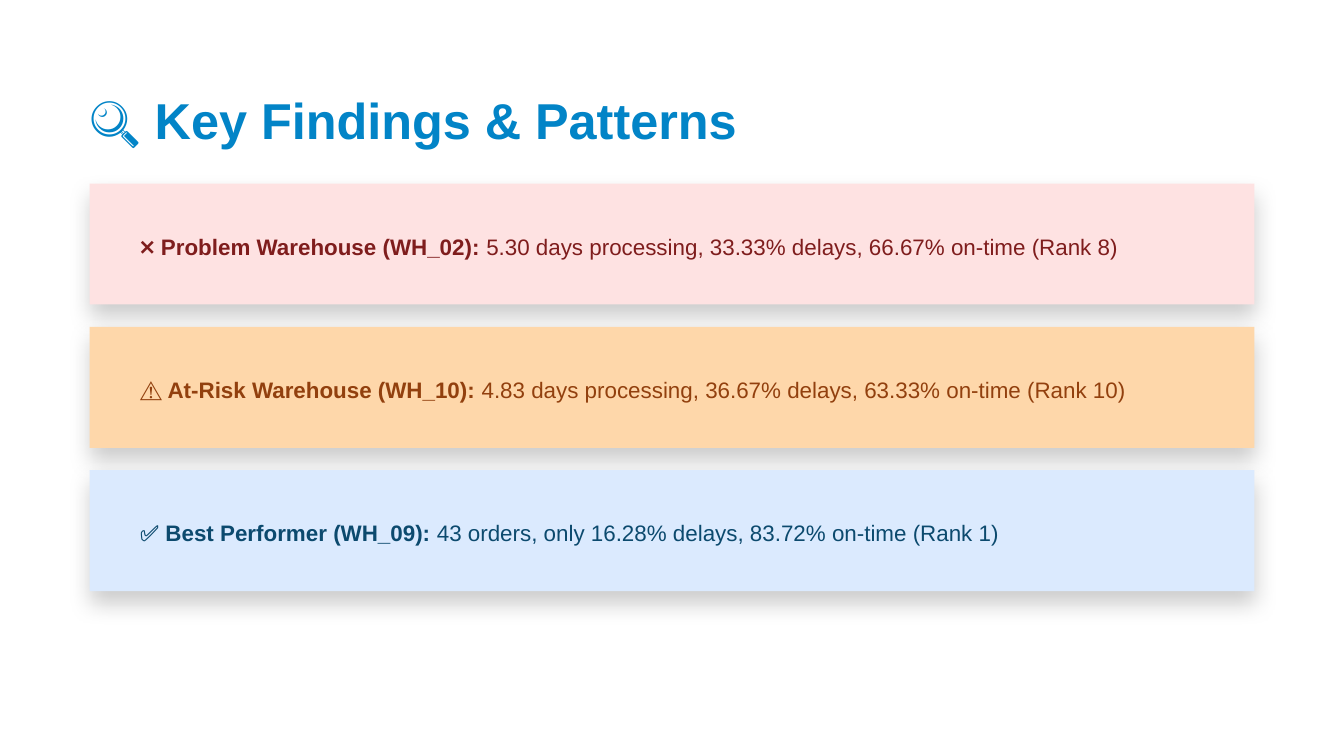
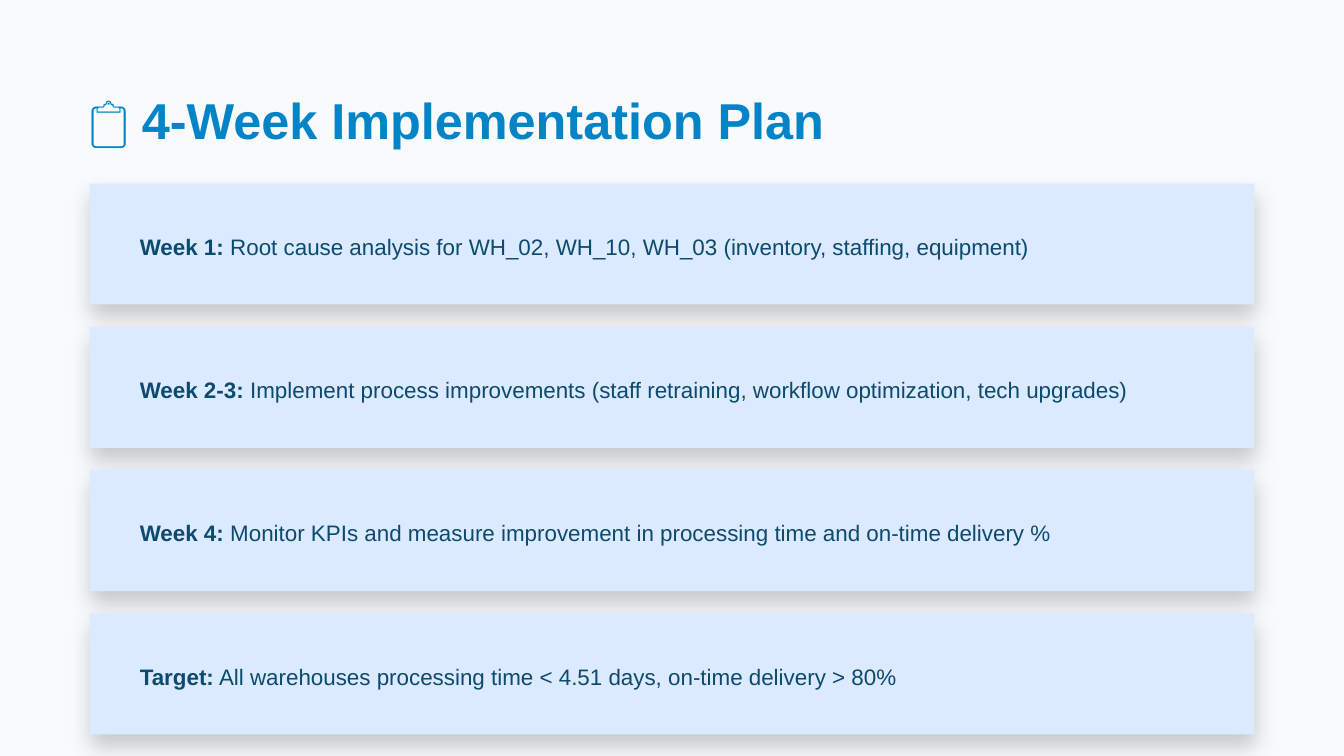
from lxml import etree
from pptx import Presentation
from pptx.dml.color import RGBColor
from pptx.enum.shapes import MSO_SHAPE
from pptx.enum.text import MSO_ANCHOR, MSO_AUTO_SIZE, PP_ALIGN
from pptx.oxml.ns import qn
from pptx.util import Pt

RECTANGLE = MSO_SHAPE.RECTANGLE
TOP = MSO_ANCHOR.TOP
LEFT = PP_ALIGN.LEFT
NO_AUTOFIT = MSO_AUTO_SIZE.NONE

FONT = "Arial"
TITLE_COLOR = "0284C7"
# style: (card fill, text colour)
STYLES = {
    "problem": ("FEE2E2", "7F1D1D"),
    "risk": ("FED7AA", "92400E"),
    "info": ("DBEAFE", "0C4A6E"),
}

SLIDES = [
    {
        "title": "🔍 Key Findings & Patterns",
        "background": "FFFFFF",
        "cards": [
            ("problem", "❌ Problem Warehouse (WH_02):",
             "5.30 days processing, 33.33% delays, 66.67% on-time (Rank 8)"),
            ("risk", "⚠️ At-Risk Warehouse (WH_10):",
             "4.83 days processing, 36.67% delays, 63.33% on-time (Rank 10)"),
            ("info", "✅ Best Performer (WH_09):",
             "43 orders, only 16.28% delays, 83.72% on-time (Rank 1)"),
        ],
    },
    {
        "title": "📋 4-Week Implementation Plan",
        "background": "F8FAFC",
        "cards": [
            ("info", "Week 1:",
             "Root cause analysis for WH_02, WH_10, WH_03 (inventory, staffing, equipment)"),
            ("info", "Week 2-3:",
             "Implement process improvements (staff retraining, workflow optimization, tech upgrades)"),
            ("info", "Week 4:",
             "Monitor KPIs and measure improvement in processing time and on-time delivery %"),
            ("info", "Target:",
             "All warehouses processing time < 4.51 days, on-time delivery > 80%"),
        ],
    },
]

# Lengths in px, 150 to the inch
PX = 6096
SLIDE_SIZE = (1500, 844)
TITLE_BOX = (100, 100, 1326, 68)
CARD_LEFT, CARD_TOP, CARD_WIDTH, CARD_HEIGHT = 100, 205, 1300, 135
CARD_GAP = 25
TEXT_INSET, TEXT_WIDTH, TEXT_HEIGHT = 56, 1218, 35


def px(*lengths):
    return [length * PX for length in lengths]


def rgb(color):
    return RGBColor.from_string(color)


def format_text(frame, size, line_spacing, color):
    """Set a one-paragraph frame without margins and return its paragraph."""
    frame.margin_left = frame.margin_top = frame.margin_right = frame.margin_bottom = 0
    frame.word_wrap = True
    frame.auto_size = NO_AUTOFIT
    frame.vertical_anchor = TOP
    paragraph = frame.paragraphs[0]
    paragraph.alignment = LEFT
    paragraph.line_spacing = Pt(line_spacing)
    font = paragraph.font
    font.name, font.size, font.color.rgb = FONT, Pt(size), rgb(color)
    return paragraph


def add_shadow(shape):
    """Give the shape a soft black shadow that falls straight down."""
    shape.shadow.inherit = False
    effects = shape._element.spPr.find(qn("a:effectLst"))
    shadow = etree.SubElement(
        effects, qn("a:outerShdw"), blurRad=str(Pt(12)), dist=str(Pt(6)),
        dir=str(90 * 60000), algn="ctr", rotWithShape="0")
    color = etree.SubElement(shadow, qn("a:srgbClr"), val="000000")
    etree.SubElement(color, qn("a:alpha"), val="20000")


def add_title(slide, text):
    title = slide.shapes.title
    title.left, title.top, title.width, title.height = px(*TITLE_BOX)
    title.text_frame.text = text
    format_text(title.text_frame, 27, 32.4, TITLE_COLOR).font.bold = True


def add_card(slide, top, style, label, detail):
    fill, color = STYLES[style]
    card = slide.shapes.add_shape(
        RECTANGLE, *px(CARD_LEFT, top, CARD_WIDTH, CARD_HEIGHT))
    card.fill.solid()
    card.fill.fore_color.rgb = rgb(fill)
    card.line.fill.background()
    add_shadow(card)

    text_top = top + (CARD_HEIGHT - TEXT_HEIGHT) // 2
    box = slide.shapes.add_textbox(
        *px(CARD_LEFT + TEXT_INSET, text_top, TEXT_WIDTH, TEXT_HEIGHT))
    paragraph = format_text(box.text_frame, 12, 16.8, color)
    for text, bold in ((label, True), (" " + detail, False)):
        run = paragraph.add_run()
        run.text = text
        run.font.bold = bold


def main():
    presentation = Presentation()
    presentation.slide_width, presentation.slide_height = px(*SLIDE_SIZE)
    title_only = presentation.slide_layouts.get_by_name("Title Only")
    for content in SLIDES:
        slide = presentation.slides.add_slide(title_only)
        slide.background.fill.solid()
        slide.background.fill.fore_color.rgb = rgb(content["background"])
        add_title(slide, content["title"])
        for row, card in enumerate(content["cards"]):
            add_card(slide, CARD_TOP + row * (CARD_HEIGHT + CARD_GAP), *card)
    presentation.save("out.pptx")


if __name__ == "__main__":
    main()
